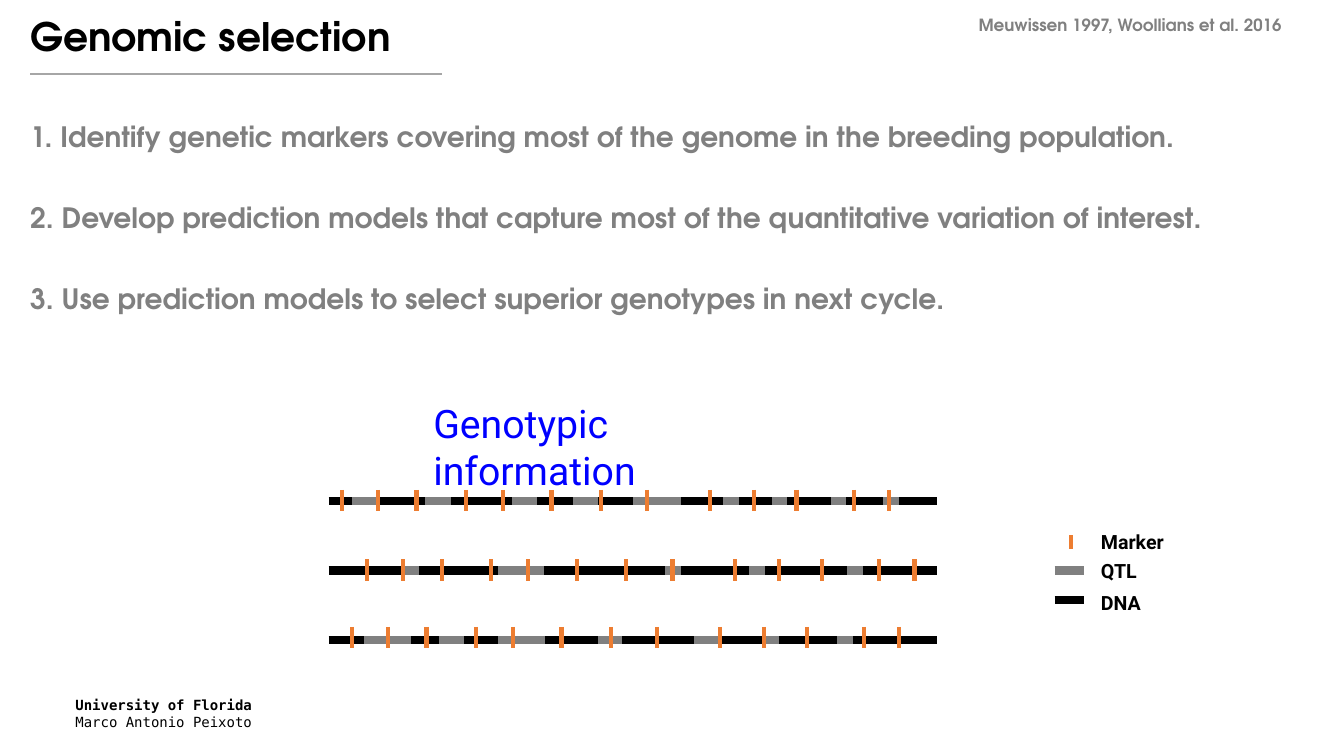
from lxml import etree
from pptx import Presentation
from pptx import util as u
from pptx.dml.color import RGBColor
from pptx.enum import shapes, text
from pptx.oxml.ns import qn

COLS, ROWS = 133.3, 75  # grid of square cells, a tenth of an inch each
HEAD, PLAIN, MONO = "TeX Gyre Adventor", "Roboto", "DejaVu Sans Mono"
BLACK, GREY, RULE, ORANGE, BLUE = "000000", "808080", "A6A6A6", "ED7D31", "0000FF"


def rgb(color):
    return RGBColor.from_string(color)


def write(tf, words, font=PLAIN, size=14, color=BLACK, bold=False,
          align=text.PP_ALIGN.LEFT, spacing=1.0, after=0):
    """Add one paragraph, filling the first one if it is still empty."""
    p = tf.add_paragraph() if tf.text else tf.paragraphs[0]
    p.alignment, p.line_spacing = align, spacing
    p.space_before, p.space_after = u.Pt(0), u.Pt(after)
    r = p.add_run()
    r.text = words
    r.font.name, r.font.size, r.font.bold = font, u.Pt(size), bold
    r.font.color.rgb = rgb(color)
    return p


class Deck:
    def __init__(self):
        self.prs = Presentation()
        self.prs.slide_width, self.prs.slide_height = u.Inches(13.33), u.Inches(7.5)
        self.s = self.prs.slides.add_slide(self.prs.slide_layouts[1])

    def x(self, col):
        return round(self.prs.slide_width * col / COLS)

    def y(self, row):
        return round(self.prs.slide_height * row / ROWS)

    def frame(self, sp, col, row, cols, rows):
        """Place a text shape on the grid and return its text frame."""
        sp.left, sp.top = self.x(col), self.y(row)
        sp.width, sp.height = self.x(cols), self.y(rows)
        tf = sp.text_frame
        tf.word_wrap, tf.auto_size = True, text.MSO_AUTO_SIZE.NONE
        tf.vertical_anchor = text.MSO_ANCHOR.TOP
        return tf

    def title(self, words, *place):
        write(self.frame(self.s.shapes.title, *place), words, HEAD, 28, bold=True)

    def steps(self, lines, *place):
        tf = self.frame(self.s.placeholders[1], *place)
        tf.margin_left = tf.margin_right = tf.margin_bottom = 0
        for line in lines:
            p = write(tf, line, HEAD, 20, GREY, True, text.PP_ALIGN.JUSTIFY, 1.2, 29)
            pPr = p._p.get_or_add_pPr()
            pPr.set("marL", "0")
            pPr.set("indent", "0")
            etree.SubElement(pPr, qn("a:buNone"))

    def box(self, *place):
        return self.frame(self.s.shapes.add_textbox(0, 0, 0, 0), *place)

    def line(self, col1, row1, col2, row2, color, width):
        ln = self.s.shapes.add_connector(
            shapes.MSO_CONNECTOR.STRAIGHT,
            self.x(col1), self.y(row1), self.x(col2), self.y(row2))
        ln.line.color.rgb, ln.line.width = rgb(color), u.Pt(width)
        etree.SubElement(ln._element.spPr, qn("a:effectLst"))

    def strand(self, row, qtls, marker_row, first_marker):
        self.line(32.6, row, 92.9, row, BLACK, 6)
        for start, end in qtls:
            self.line(start, row, end, row, GREY, 6)
        for step in MARKER_STEPS:
            col = first_marker + step
            self.line(col, marker_row, col, marker_row + 2.1, ORANGE, 3)


# Columns from the first marker of a strand to each of its markers
MARKER_STEPS = [0, 3.6, 7.4, 12.3, 16, 20.8, 25.7, 30.3, 36.5, 40.9, 45.1, 50.8, 54.3]

# Row, QTL spans, top row of the markers, column of the first marker
STRANDS = [
    (49.7, [(34.9, 37.4), (42.2, 44.7), (50.8, 53.3), (56.8, 59.3), (62.8, 67.5),
            (71.7, 73.3), (76.6, 78.1), (82.4, 83.9), (87.6, 89.2)], 48.6, 33.9),
    (56.6, [(40, 41.6), (49.4, 54), (66, 67.5), (74.3, 75.9), (84, 85.6)], 55.5, 36.4),
    (63.5, [(36.1, 40.8), (43.5, 46), (49.4, 54.1), (59.3, 61.7), (68.8, 71.3),
            (75.7, 77.3), (83, 84.6)], 62.2, 34.9),
]

STEPS = [
    "1. Identify genetic markers covering most of the genome in the breeding population.",
    "2. Develop prediction models that capture most of the quantitative variation of interest.",
    "3. Use prediction models to select superior genotypes in next cycle.",
]


def main():
    d = Deck()

    # Heading and reference
    d.title("Genomic selection", 2, 0.7, 70, 5.7)
    d.line(3, 7.3, 43.8, 7.3, RULE, 1.5)
    write(d.box(92.1, 1, 40, 5), "Meuwissen 1997, Woollians et al. 2016",
          HEAD, 12, GREY, True, text.PP_ALIGN.CENTER)

    # Three steps
    d.steps(STEPS, 3, 10.7, 124.8, 29.2)

    # Strands of DNA
    write(d.box(42, 39.1, 32, 10.4), "Genotypic information", size=28, color=BLUE)
    for strand in STRANDS:
        d.strand(*strand)

    # Legend
    d.line(106.2, 53.1, 106.2, 54.5, ORANGE, 3)
    d.line(104.6, 56.6, 107.5, 56.6, GREY, 6)
    d.line(104.6, 59.5, 107.5, 59.5, BLACK, 6)
    for label, row in [("Marker", 52.1), ("QTL", 55), ("DNA", 58.1)]:
        write(d.box(108.2, row, 12, 3.4), label, bold=True)

    # Footer
    footer = d.box(6.5, 68.6, 23, 4.4)
    write(footer, "University of Florida", MONO, 10, bold=True)
    write(footer, "Marco Antonio Peixoto", MONO, 10)

    d.prs.save("out.pptx")


if __name__ == "__main__":
    main()
